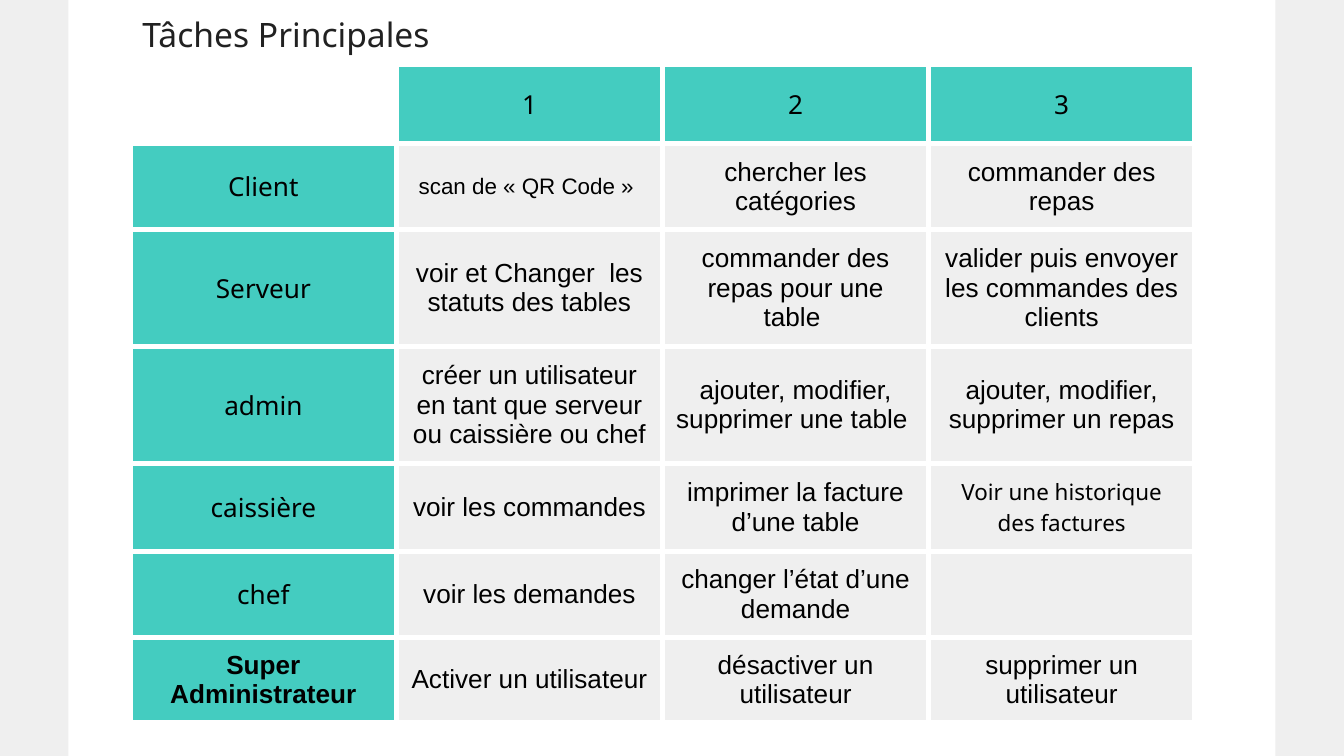
from lxml.etree import SubElement
from pptx import Presentation
from pptx.dml.color import RGBColor
from pptx.enum.shapes import MSO_SHAPE
from pptx.enum.text import MSO_ANCHOR, PP_ALIGN
from pptx.oxml.ns import qn
from pptx.util import Inches, Pt

TEAL = RGBColor(0x44, 0xCC, 0xC0)
GREY = RGBColor(0xEF, 0xEF, 0xEF)
WHITE = RGBColor(0xFF, 0xFF, 0xFF)
BLACK = RGBColor(0, 0, 0)
DARK = RGBColor(0x21, 0x21, 0x21)

WIDTH = 10
HEIGHT = WIDTH * 9 / 16
HEIGHTS = [0.59, 0.64, 0.87, 0.87, 0.59, 0.59, 0.59]
TASKS = [
    ["", "1", "2", "3"],
    ["Client", "scan de « QR Code » ", "chercher les catégories", "commander des repas"],
    ["Serveur", "voir et Changer  les statuts des tables",
     "commander des repas pour une table ",
     "valider puis envoyer les commandes des clients"],
    ["admin", "créer un utilisateur en tant que serveur ou caissière ou chef",
     "ajouter, modifier, supprimer une table ", "ajouter, modifier, supprimer un repas"],
    ["caissière", "voir les commandes ", "imprimer la facture d’une table",
     "Voir une historique des factures"],
    ["chef", "voir les demandes", "changer l’état d’une demande", ""],
    ["Super Administrateur", "Activer un utilisateur", "désactiver un utilisateur",
     "supprimer un utilisateur"],
]
HEAD = {"name": "Noto Sans", "size": Pt(14), "bold": False}
BODY = {**HEAD, "name": "Arial"}
SPECIAL = {
    (1, 1): {**BODY, "size": Pt(12)},
    (4, 3): {**HEAD, "size": Pt(12)},
    (6, 0): {**BODY, "bold": True},
}
INSETS = {f"margin_{side}": Inches(0.1) for side in ("left", "top", "right", "bottom")}


def apply(item, values):
    for name, value in values.items():
        setattr(item, name, value)


def style(font, values, color):
    apply(font, values)
    font.color.rgb = color


def add_band(slide, left, top, width, height):
    band = slide.shapes.add_shape(
        MSO_SHAPE.RECTANGLE, Inches(left), Inches(top), Inches(width), Inches(height))
    band.shadow.inherit = False
    band.fill.solid()
    band.fill.fore_color.rgb = GREY
    band.line.fill.background()


def set_title(slide, left, top, width, height):
    title = slide.shapes.title
    apply(title, {"left": Inches(left), "top": Inches(top),
                  "width": Inches(width), "height": Inches(height)})
    frame = title.text_frame
    frame.text = "Tâches Principales"
    apply(frame, {**INSETS, "vertical_anchor": MSO_ANCHOR.TOP, "word_wrap": True})
    line = frame.paragraphs[0]
    line.alignment = PP_ALIGN.LEFT
    style(line.runs[0].font, {**HEAD, "size": Pt(18)}, DARK)


def add_borders(cell):
    props = cell._tc.get_or_add_tcPr()
    for index, side in enumerate(("lnL", "lnR", "lnT", "lnB")):
        line = props.makeelement(qn(f"a:{side}"), {"w": str(Pt(3))})
        fill = SubElement(line, qn("a:solidFill"))
        SubElement(fill, qn("a:srgbClr"), val=str(WHITE))
        props.insert(index, line)


def fill_cell(cell, text, row, col):
    label = row == 0 or col == 0
    apply(cell, {**INSETS, "vertical_anchor": MSO_ANCHOR.MIDDLE})
    if row == col == 0:
        cell.fill.background()
    else:
        cell.fill.solid()
        cell.fill.fore_color.rgb = TEAL if label else GREY
    add_borders(cell)
    line = cell.text_frame.paragraphs[0]
    line.alignment = PP_ALIGN.CENTER
    font = line.font
    if text:
        run = line.add_run()
        run.text = text
        font = run.font
    style(font, SPECIAL.get((row, col), HEAD if label else BODY), BLACK)


def add_tasks(slide, left, top, width):
    count = len(TASKS[0])
    table = slide.shapes.add_table(
        len(TASKS), count, Inches(left), Inches(top),
        Inches(width), Inches(sum(HEIGHTS))).table
    apply(table, {"first_row": False, "horz_banding": False})
    for column in table.columns:
        column.width = Inches(width / count)
    for row, (height, texts) in enumerate(zip(HEIGHTS, TASKS)):
        table.rows[row].height = Inches(height)
        for col, text in enumerate(texts):
            fill_cell(table.cell(row, col), text, row, col)


def main():
    deck = Presentation()
    deck.slide_width, deck.slide_height = Inches(WIDTH), Inches(HEIGHT)
    slide = deck.slides.add_slide(deck.slide_layouts[5])
    slide.background.fill.solid()
    slide.background.fill.fore_color.rgb = WHITE
    band = 0.51
    for left in (0, WIDTH - band):
        add_band(slide, left, 0, band, HEIGHT)
    add_tasks(slide, 0.97, 0.48, 7.92)
    set_title(slide, 0.96, 0, 5.59, 0.45)
    deck.save("out.pptx")


if __name__ == "__main__":
    main()
